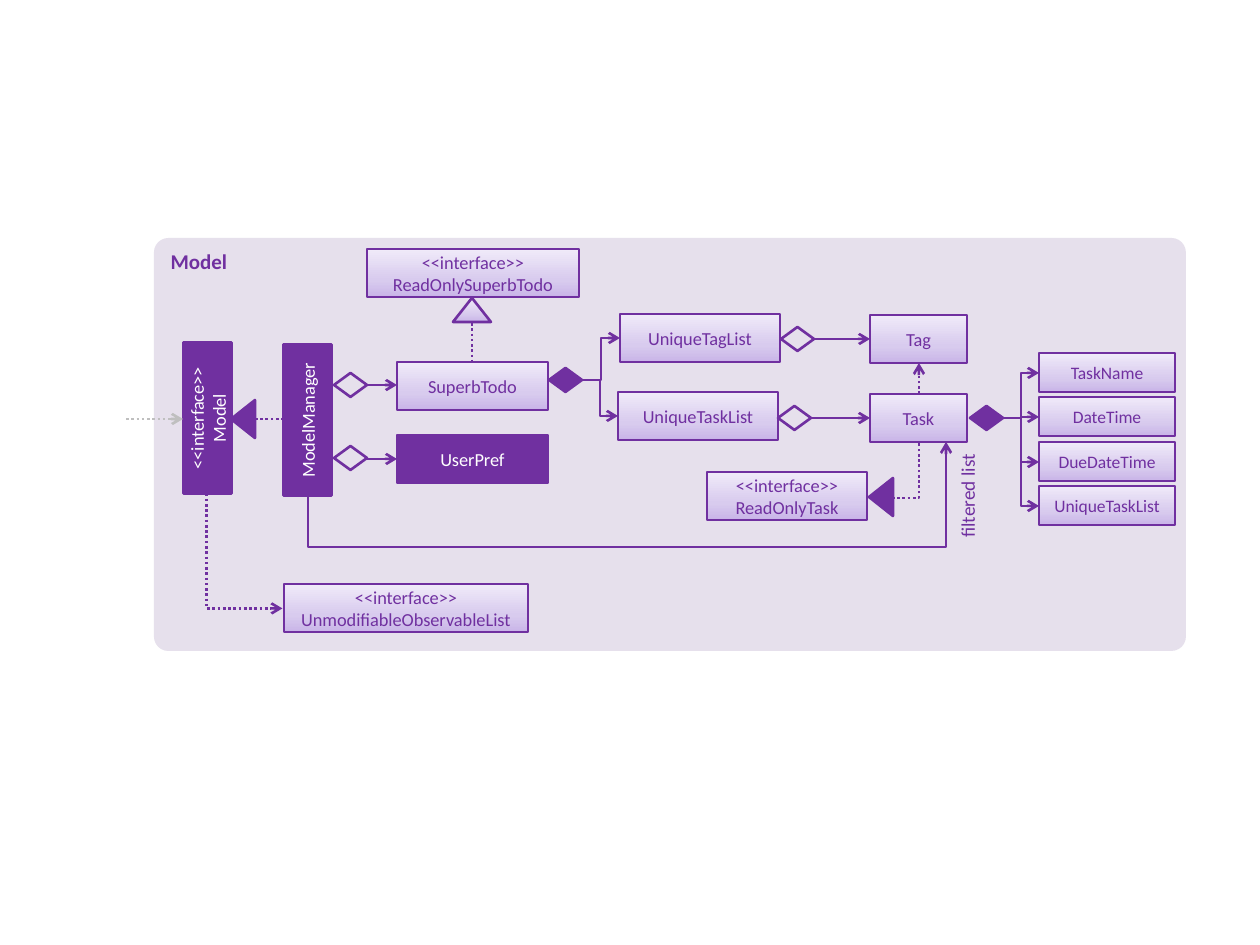
from dataclasses import dataclass
from typing import Optional

from lxml.etree import SubElement
from pptx import Presentation
from pptx.dml.color import RGBColor
from pptx.enum.dml import MSO_LINE_DASH_STYLE as Dash
from pptx.enum.shapes import MSO_CONNECTOR as Conn, MSO_SHAPE as Shp
from pptx.enum.text import MSO_ANCHOR as Anchor, MSO_AUTO_SIZE as AutoSize, PP_ALIGN as Align
from pptx.oxml.ns import qn
from pptx.util import Emu, Inches, Pt

PURPLE = RGBColor(0x70, 0x30, 0xA0)
PANEL = RGBColor(0xE6, 0xE0, 0xEC)
GREY = RGBColor(0xBF, 0xBF, 0xBF)
WHITE = RGBColor(0xFF, 0xFF, 0xFF)
GRADIENT = ((0, RGBColor(0xC9, 0xB5, 0xE8)),
            (0.35, RGBColor(0xD8, 0xCB, 0xEE)),
            (1, RGBColor(0xF0, 0xEA, 0xF9)))
FONT = "Calibri"
BOX_H = 48


@dataclass
class Box:
    """A class or interface box."""
    text: str
    x: int
    y: int
    w: int
    h: int = BOX_H
    solid: bool = False
    rot: int = 0
    size: float = 10.5


@dataclass
class Symbol:
    """A UML end symbol; fill is solid, gradient or none."""
    kind: Shp
    x: int
    y: int
    fill: str = "none"
    rot: int = 0


@dataclass
class Link:
    """A connector; points are those of its frame before rotation."""
    x1: int
    y1: int
    x2: int
    y2: int
    geom: str = "line"
    dotted: bool = False
    arrow: bool = True
    rot: int = 0
    adj: tuple = ()
    color: RGBColor = PURPLE


def px(n: float) -> Emu:
    """Turn pixels into EMU."""
    return Emu(round(n * 914400 / 126))


def write(tf, text: str, size: float, color: RGBColor, align: Align, bold: bool = False) -> None:
    """Write text into a frame, one run a line."""
    tf.word_wrap = True
    p = tf.paragraphs[0]
    p.alignment = align
    for i, line in enumerate(text.split("\n")):
        if i:
            p.add_line_break()
        r = p.add_run()
        r.text = line
        r.font.name, r.font.size, r.font.bold = FONT, Pt(size), bold
        r.font.color.rgb = color


def paint(sp, fill: str) -> None:
    """Give a shape its fill and the purple outline."""
    sp.shadow.inherit = False
    sp.line.color.rgb = PURPLE
    sp.line.width = Pt(1.5)
    if fill == "none":
        sp.fill.background()
    elif fill == "solid":
        sp.fill.solid()
        sp.fill.fore_color.rgb = PURPLE
    else:
        sp.fill.gradient()
        sp.fill.gradient_angle = 90
        stops = next(sp._element.spPr.iter(qn("a:gsLst")))
        middle = SubElement(stops, qn("a:gs"), pos="35000")
        SubElement(middle, qn("a:srgbClr"), val=str(GRADIENT[1][1]))
        for stop, (position, color) in zip(sp.fill.gradient_stops, GRADIENT):
            stop.position, stop.color.rgb = position, color


def add_box(s, b: Box) -> None:
    """Draw a labelled box."""
    sp = s.shapes.add_shape(Shp.RECTANGLE, px(b.x), px(b.y), px(b.w), px(b.h))
    sp.rotation = b.rot
    paint(sp, "solid" if b.solid else "gradient")
    sp.text_frame.vertical_anchor = Anchor.MIDDLE
    write(sp.text_frame, b.text, b.size, WHITE if b.solid else PURPLE, Align.CENTER)


def add_symbol(s, m: Symbol) -> None:
    """Draw a diamond or triangle."""
    width = 38 if m.kind == Shp.ISOSCELES_TRIANGLE else 33
    sp = s.shapes.add_shape(m.kind, px(m.x), px(m.y), px(width), px(24))
    sp.rotation = m.rot
    paint(sp, m.fill)


def add_link(s, k: Link) -> None:
    """Draw a straight or bent connector."""
    kind = Conn.STRAIGHT if k.geom == "line" else Conn.ELBOW
    c = s.shapes.add_connector(kind, px(k.x1), px(k.y1), px(k.x2), px(k.y2))
    c.line.color.rgb = k.color
    c.line.width = Pt(1.5)
    if k.dotted:
        c.line.dash_style = Dash.ROUND_DOT
    if k.arrow:
        SubElement(c.line._get_or_add_ln(), qn("a:tailEnd"), type="arrow")
    pr = c._element.spPr
    SubElement(pr, qn("a:effectLst"))
    if k.rot:
        pr.find(qn("a:xfrm")).set("rot", str(k.rot * 60000))
    if k.geom != "line":
        geom = pr.find(qn("a:prstGeom"))
        geom.set("prst", k.geom)
        guides = geom.find(qn("a:avLst"))
        for i, value in enumerate(k.adj, 1):
            SubElement(guides, qn("a:gd"), name=f"adj{i}", fmla=f"val {round(value * 100000)}")


def add_panel(s) -> None:
    """Draw the rounded background with its heading."""
    sp = s.shapes.add_shape(Shp.ROUNDED_RECTANGLE, px(154), px(238), px(1032), px(413))
    sp.adjustments[0] = 0.035
    sp.shadow.inherit = False
    sp.fill.solid()
    sp.fill.fore_color.rgb = PANEL
    sp.line.fill.background()
    sp.text_frame.vertical_anchor = Anchor.TOP
    write(sp.text_frame, "Model", 12, PURPLE, Align.LEFT, bold=True)


def add_caption(s, text: str) -> None:
    """Write the upright caption beside the long arrow."""
    tb = s.shapes.add_textbox(px(907), px(484), px(121), px(36))
    tb.rotation = 270
    write(tb.text_frame, text, 11, PURPLE, Align.RIGHT)
    tb.text_frame.auto_size = AutoSize.SHAPE_TO_FIT_TEXT


FIELDS = ("TaskName", "DateTime", "DueDateTime", "UniqueTaskList")
FIELD_TOPS = [353 + 89 * i // 2 for i in range(len(FIELDS))]
BOXES = [
    Box("<<interface>>\nModel", 132, 394, 151, solid=True, rot=270),
    Box("ModelManager", 232, 396, 151, solid=True, rot=270),
    Box("UserPref", 397, 435, 151, solid=True),
    Box("SuperbTodo", 397, 362, 151),
    Box("UniqueTagList", 620, 314, 160),
    Box("UniqueTaskList", 618, 392, 160),
    Box("Tag", 870, 315, 97),
    Box("Task", 870, 394, 97),
    Box("<<interface>>\nReadOnlyTask", 707, 472, 160),
    Box("<<interface>>\nReadOnlySuperbTodo", 367, 249, 212),
    Box("<<interface>>\nUnmodifiableObservableList", 284, 584, 244),
    *(Box(name, 1039, y, 136, 39, size=10) for name, y in zip(FIELDS, FIELD_TOPS)),
]
LINKS = [
    Link(126, 419, 183, 419, dotted=True, color=GREY),
    Link(255, 419, 284, 419, dotted=True, arrow=False),
    Link(366, 385, 397, 385),
    Link(366, 459, 397, 459),
    Link(472, 323, 472, 362, dotted=True, arrow=False),
    Link(582, 380, 620, 338, "bentConnector3"),
    Link(582, 380, 618, 416, "bentConnector3"),
    Link(814, 339, 870, 339),
    Link(810, 418, 870, 418),
    Link(919, 394, 919, 363, dotted=True),
    Link(892, 498, 919, 441, "bentConnector2", dotted=True, arrow=False),
    Link(653, 787, 601, 149, "bentConnector4", rot=90, adj=(-1.02, 1)),
    Link(302, 513, 187, 589, "bentConnector2", dotted=True, rot=270),
    *(Link(1003, 418, 1039, y + 20, "bentConnector3") for y in FIELD_TOPS),
]
DIAMOND, TRIANGLE = Shp.FLOWCHART_DECISION, Shp.ISOSCELES_TRIANGLE
SYMBOLS = [
    Symbol(DIAMOND, 334, 373),
    Symbol(DIAMOND, 334, 446),
    Symbol(DIAMOND, 781, 327),
    Symbol(DIAMOND, 778, 406),
    Symbol(DIAMOND, 549, 368, "solid"),
    Symbol(DIAMOND, 970, 406, "solid"),
    Symbol(TRIANGLE, 224, 407, "solid", 270),
    Symbol(TRIANGLE, 862, 485, "solid", 270),
    Symbol(TRIANGLE, 453, 298, "gradient"),
]

prs = Presentation()
prs.slide_width, prs.slide_height = Inches(10), Inches(7.5)
s = prs.slides.add_slide(prs.slide_layouts[6])
add_panel(s)
for items, draw in ((BOXES, add_box), (LINKS, add_link), (SYMBOLS, add_symbol)):
    for item in items:
        draw(s, item)
add_caption(s, "filtered list")
prs.save("out.pptx")
